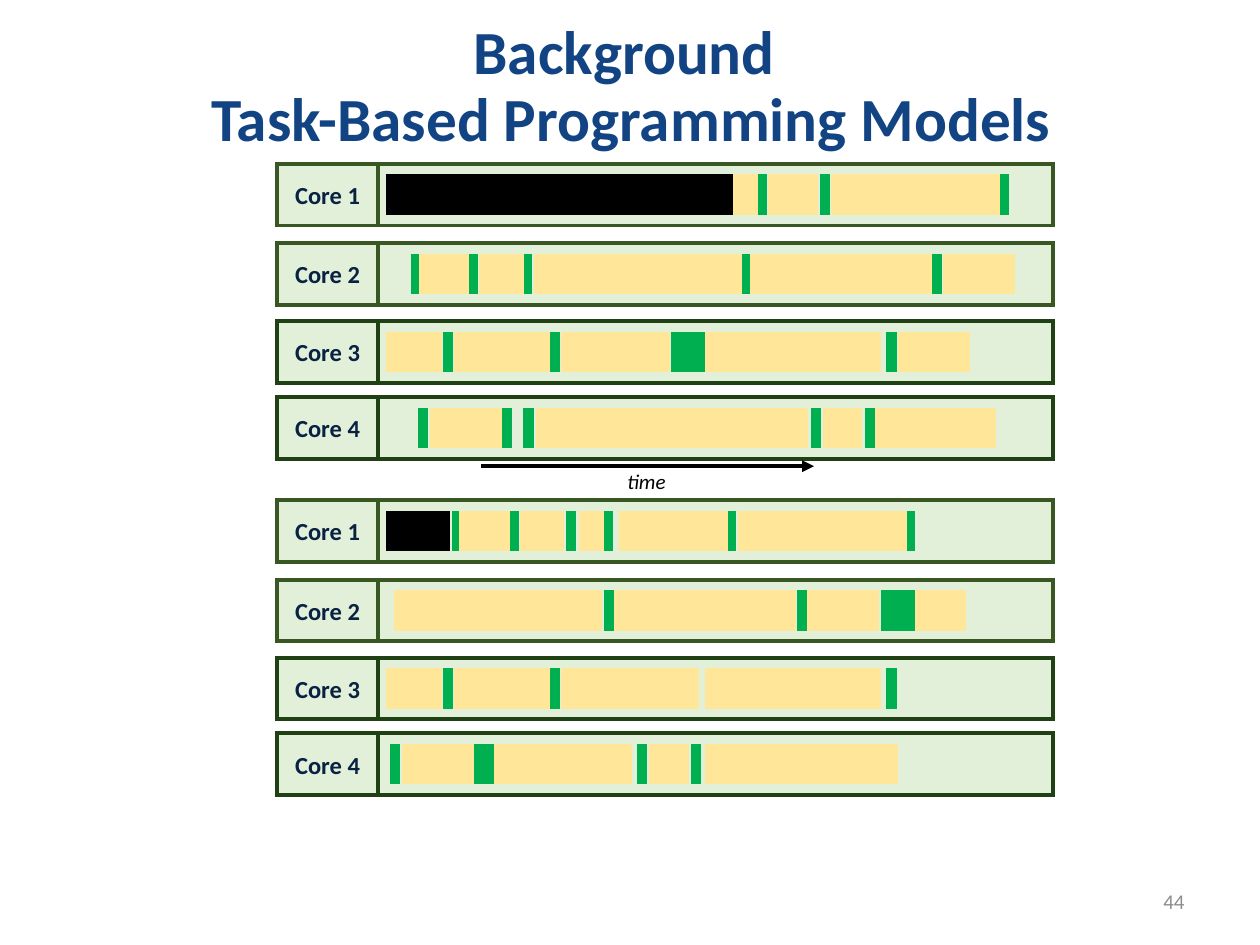
from lxml import etree
from pptx import Presentation
from pptx.dml.color import RGBColor
from pptx.enum.shapes import MSO_CONNECTOR, MSO_SHAPE
from pptx.enum.text import MSO_ANCHOR, MSO_AUTO_SIZE, PP_ALIGN
from pptx.oxml.ns import qn
from pptx.util import Emu, Pt

PX = 9144  # 100 px to the inch
LINE_WIDTH = Pt(2.25)
LANE_FILL, TASK, OVERHEAD, SERIAL = "E2F0D9", "FFE699", "00B050", "000000"
BAR_COLORS = {"serial": SERIAL, "overhead": OVERHEAD, "task": TASK}

LANE_TOPS = (0, 63, 125, 185)
LANE_LINES = ("385723", "385723", "1F4113", "1F4113")
LABEL_WIDTH, LANE_HEIGHT = 80, 49
BAR_INSET, BAR_HEIGHT, TICK = 10, 29, 5

# Bars are (start, width) from the left end of the lane.
SLOW_RUN = (
    {"serial": [(8, 273)],
     "overhead": [(302, TICK), (352, TICK), (494, TICK)],
     "task": [(283, 17), (311, 37), (361, 131)]},
    {"overhead": [(28, TICK), (73, TICK), (116, TICK), (289, TICK), (441, TICK)],
     "task": [(34, 37), (82, 32), (125, 162), (297, 141), (450, 54)]},
    {"overhead": [(53, TICK), (138, TICK), (234, 24), (405, TICK)],
     "task": [(8, 41), (62, 73), (147, 83), (261, 137), (414, 54)]},
    {"overhead": [(33, TICK), (100, TICK), (117, TICK), (345, TICK), (388, TICK)],
     "task": [(43, 54), (127, 213), (355, 28), (396, 93)]},
)
FAST_RUN = (
    {"serial": [(8, 48)],
     "overhead": [(60, TICK), (105, TICK), (151, TICK), (180, TICK), (278, TICK), (420, TICK)],
     "task": [(66, 37), (114, 32), (161, 17), (193, 83), (287, 131)]},
    {"overhead": [(181, TICK), (334, TICK), (401, 24)],
     "task": [(14, 162), (189, 141), (342, 54), (428, 37)]},
    {"overhead": [(53, TICK), (138, TICK), (405, TICK)],
     "task": [(8, 41), (62, 73), (147, 106), (261, 137)]},
    {"overhead": [(11, TICK), (78, TICK), (86, TICK), (207, TICK), (250, TICK)],
     "task": [(21, 54), (94, 106), (217, 28), (261, 93), (357, 54)]},
)


def px(*lengths):
    return [Emu(length * PX) for length in lengths]


def rgb(color):
    return RGBColor.from_string(color)


def format_para(para, align, color, **font):
    para.alignment = align
    para.font.color.rgb = rgb(color)
    for name, value in {"name": "Calibri", **font}.items():
        setattr(para.font, name, value)


def add_rect(page, box, fill, line):
    shape = page.shapes.add_shape(MSO_SHAPE.RECTANGLE, *px(*box))
    shape.shadow.inherit = False
    shape.fill.solid()
    shape.fill.fore_color.rgb = rgb(fill)
    shape.line.color.rgb = rgb(line)
    shape.line.width = LINE_WIDTH
    etree.SubElement(shape.line._ln, qn("a:miter"), lim="800000")
    return shape


def add_text(page, box, text, align, color, wrap=True, anchor=MSO_ANCHOR.TOP, **font):
    frame = page.shapes.add_textbox(*px(*box)).text_frame
    frame.word_wrap = wrap
    frame.vertical_anchor = anchor
    frame.text = text
    format_para(frame.paragraphs[0], align, color, **font)
    return frame


def add_title(page, box):
    title = page.shapes.title
    title.left, title.top, title.width, title.height = px(*box)
    frame = title.text_frame
    frame.auto_size = MSO_AUTO_SIZE.NONE
    frame.vertical_anchor = MSO_ANCHOR.MIDDLE
    frame.text = "Background \vTask-Based Programming Models"
    para = frame.paragraphs[0]
    para.line_spacing = 0.9
    format_para(para, PP_ALIGN.CENTER, "124484", size=Pt(35), bold=True)


def add_lane(page, box, name, line, bars):
    left, top, width, height = box
    start = left + LABEL_WIDTH
    add_rect(page, (start, top, width - LABEL_WIDTH, height), LANE_FILL, line)
    label = add_rect(page, (left, top, LABEL_WIDTH, height), LANE_FILL, line)
    frame = label.text_frame
    frame.vertical_anchor = MSO_ANCHOR.MIDDLE
    frame.text = name
    format_para(frame.paragraphs[0], PP_ALIGN.CENTER, "092242", size=Pt(14), bold=True)
    for kind, spans in bars.items():
        color = BAR_COLORS[kind]
        for offset, length in spans:
            add_rect(page, (start + offset, top + BAR_INSET, length, BAR_HEIGHT), color, color)


def add_schedule(page, left, top, width, run):
    """Stack the lanes of the cores in one run."""
    for number, (offset, line, bars) in enumerate(zip(LANE_TOPS, LANE_LINES, run), 1):
        add_lane(page, (left, top + offset, width, LANE_HEIGHT), f"Core {number}", line, bars)


def add_time_axis(page, left, top, width):
    frame = add_text(page, (left + 106, top - 3, 52, 30), "time", PP_ALIGN.LEFT, "000000",
                     wrap=False, size=Pt(12), italic=True)
    frame.auto_size = MSO_AUTO_SIZE.SHAPE_TO_FIT_TEXT
    arrow = page.shapes.add_connector(MSO_CONNECTOR.STRAIGHT, *px(left, top, left + width, top))
    arrow.line.color.rgb = rgb("000000")
    arrow.line.width = LINE_WIDTH
    etree.SubElement(arrow.line._ln, qn("a:tailEnd"), type="triangle")
    etree.SubElement(arrow._element.spPr, qn("a:effectLst"))


def main():
    deck = Presentation()
    deck.slide_width, deck.slide_height = px(1000, 750)
    page = deck.slides.add_slide(deck.slide_layouts[5])
    add_title(page, (51, 24, 900, 92))
    add_schedule(page, 220, 130, 616, SLOW_RUN)
    add_time_axis(page, 382, 370, 264)
    add_schedule(page, 220, 397, 616, FAST_RUN)
    add_text(page, (717, 695, 233, 40), "44", PP_ALIGN.RIGHT, "8C8C8C",
             anchor=MSO_ANCHOR.MIDDLE, size=Pt(12))
    deck.save("out.pptx")


if __name__ == "__main__":
    main()
